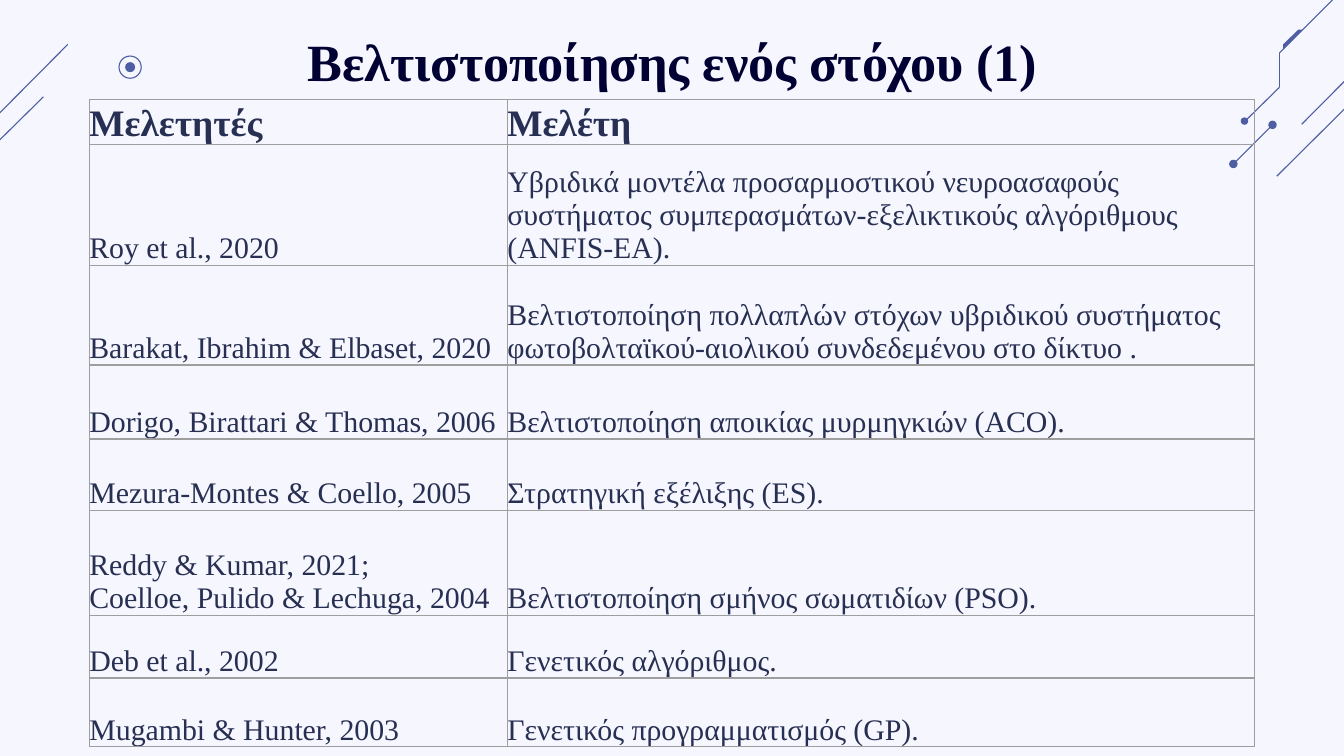
"""Build the slide listing single-objective optimisation studies."""
from lxml import etree
from pptx import Presentation
from pptx import util as u
from pptx.dml.color import RGBColor
from pptx.enum import shapes, text
from pptx.oxml import ns

BACKGROUND = RGBColor(0xF6, 0xF6, 0xFF)
ACCENT = RGBColor(0x4E, 0x5E, 0xA3)
TITLE = RGBColor(0x00, 0x00, 0x32)
BODY = RGBColor(0x27, 0x2F, 0x52)
BORDER = RGBColor(0x9E, 0x9E, 0x9E)
FONT = "Times New Roman"


def add_run(paragraph, words, size, color, bold):
    run = paragraph.add_run()
    run.text = words
    run.font.name = FONT
    run.font.size = u.Pt(size)
    run.font.bold = bold
    run.font.color.rgb = color


def add_border(cell, side):
    edge = etree.SubElement(cell._tc.get_or_add_tcPr(), ns.qn(f"a:{side}"), w=str(u.Pt(0.75)))
    paint = etree.SubElement(edge, ns.qn("a:solidFill"))
    etree.SubElement(paint, ns.qn("a:srgbClr"), val=str(BORDER))


deck = Presentation()
deck.slide_width, deck.slide_height = u.Cm(25.4), u.Cm(14.29)
slide = deck.slides.add_slide(deck.slide_layouts[6])
slide.background.fill.solid()
slide.background.fill.fore_color.rgb = BACKGROUND

rays = [
    (26.1, 0.84, 24.6, 2.35),
    (25.64, 1.83, 24.13, 3.33),
    (24.05, 2.36, 23.3, 3.11),
    (23.52, 2.3, 24.18, 1.65),
    (24.18, 1.65, 24.18, 1.0),
    (24.18, 1.0, 25.6, -0.42),
    (1.28, 0.84, -0.22, 2.35),
    (0.82, 1.83, -0.7, 3.33),
]
for x1, y1, x2, y2 in rays:
    ray = slide.shapes.add_connector(
        shapes.MSO_CONNECTOR.STRAIGHT, u.Cm(x1), u.Cm(y1), u.Cm(x2), u.Cm(y2))
    ray.line.color.rgb = ACCENT
    ray.line.width = u.Pt(0.6)
    etree.SubElement(ray._element.spPr, ns.qn("a:effectLst"))

dots = [
    (24.05, 2.36, 0.16),
    (23.31, 3.1, 0.16),
    (23.52, 2.29, 0.14),
    (2.46, 1.27, 0.19),
]
for x, y, size in dots:
    dot = slide.shapes.add_shape(
        shapes.MSO_SHAPE.OVAL, u.Cm(x - size / 2), u.Cm(y - size / 2), u.Cm(size), u.Cm(size))
    dot.shadow.inherit = False
    dot.fill.solid()
    dot.fill.fore_color.rgb = ACCENT
    dot.line.fill.background()

ring = slide.shapes.add_shape(
    shapes.MSO_SHAPE.OVAL, u.Cm(2.25), u.Cm(1.06), u.Cm(0.42), u.Cm(0.42))
ring.shadow.inherit = False
ring.fill.background()
ring.line.color.rgb = ACCENT
ring.line.width = u.Pt(0.6)

slash_outline = slide.shapes.build_freeform(u.Cm(24.25), u.Cm(0.94))
slash_outline.add_line_segments(
    [(u.Cm(x), u.Cm(y)) for x, y in [(24.62, 0.56), (24.54, 0.56), (24.25, 0.84)]])
slash = slash_outline.convert_to_shape()
slash.shadow.inherit = False
slash.fill.solid()
slash.fill.fore_color.rgb = ACCENT
slash.line.fill.background()

heading = slide.shapes.add_textbox(u.Cm(2.18), u.Cm(0.43), u.Cm(21.06), u.Cm(1.45)).text_frame
heading.word_wrap = True
heading.vertical_anchor = text.MSO_ANCHOR.MIDDLE
heading.margin_top = heading.margin_bottom = 0
heading.paragraphs[0].alignment = text.PP_ALIGN.CENTER
add_run(heading.paragraphs[0], "Βελτιστοποίησης ενός στόχου (1)", 28, TITLE, True)

studies = [
    (0.79, "Μελετητές", "Μελέτη"),
    (2.29, "Roy et al., 2020",
     "Υβριδικά μοντέλα προσαρμοστικού νευροασαφούς συστήματος "
     "συμπερασμάτων-εξελικτικούς αλγόριθμους (ANFIS-EA)."),
    (1.88, "Barakat, Ibrahim & Elbaset, 2020",
     "Βελτιστοποίηση πολλαπλών στόχων υβριδικού συστήματος "
     "φωτοβολταϊκού-αιολικού συνδεδεμένου στο δίκτυο ."),
    (1.4, "Dorigo, Birattari & Thomas, 2006", "Βελτιστοποίηση αποικίας μυρμηγκιών (ACO)."),
    (1.35, "Mezura-Montes & Coello, 2005", "Στρατηγική εξέλιξης (ES)."),
    (1.98, "Reddy & Kumar, 2021; \nCoelloe, Pulido & Lechuga, 2004",
     "Βελτιστοποίηση σμήνος σωματιδίων (PSO)."),
    (1.19, "Deb et al., 2002", "Γενετικός αλγόριθμος."),
    (1.3, "Mugambi & Hunter, 2003", "Γενετικός προγραμματισμός (GP)."),
]
total_height = sum(height for height, *_ in studies)
grid = slide.shapes.add_table(
    len(studies), 2, u.Cm(1.69), u.Cm(1.88), u.Cm(22.02), u.Cm(total_height)).table
grid.first_row = grid.horz_banding = False
grid.columns[0].width, grid.columns[1].width = u.Cm(7.9), u.Cm(14.12)

for row, (height, *entries) in enumerate(studies):
    grid.rows[row].height = u.Cm(height)
    for column, entry in enumerate(entries):
        cell = grid.cell(row, column)
        cell.margin_left = cell.margin_right = cell.margin_top = cell.margin_bottom = 0
        cell.vertical_anchor = text.MSO_ANCHOR.BOTTOM
        for side in ("lnL", "lnR", "lnT", "lnB"):
            add_border(cell, side)
        cell.fill.background()
        paragraph = cell.text_frame.paragraphs[0]
        for number, line in enumerate(entry.split("\n")):
            if number:
                paragraph.add_line_break()
            add_run(paragraph, line, 16 if row else 20, BODY, row == 0)

deck.save("out.pptx")
